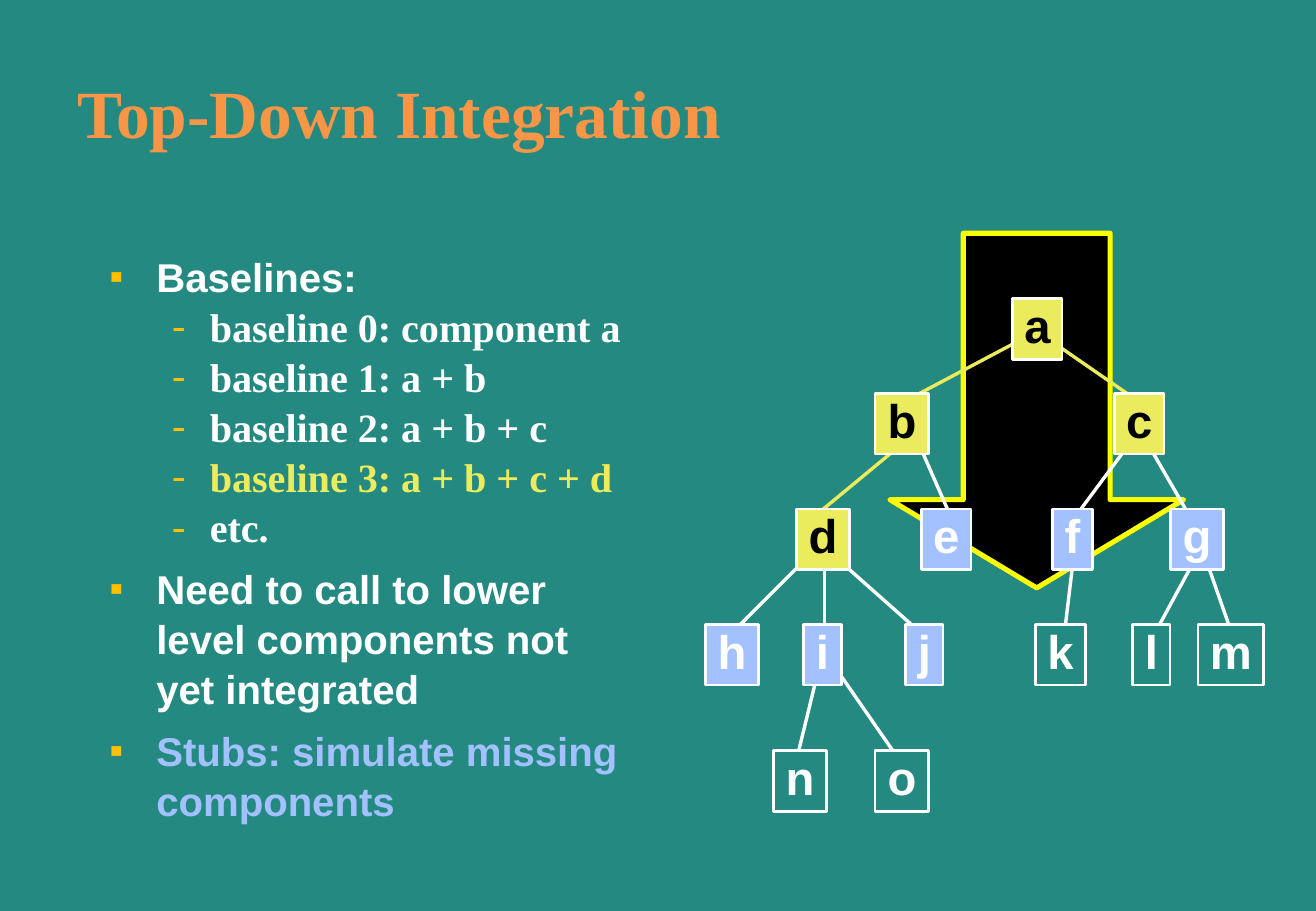
import pptx
import pptx.util
import pptx.dml.color
import pptx.enum.shapes
import pptx.enum.text
import pptx.oxml.ns
import lxml.etree

PX = 9144  # EMU per px, 100 px to the inch
WHITE, YELLOW, BLUE, TEAL = "FFFFFF", "EAEC5E", "A2C1FE", "248980"
ORANGE, GOLD, BLACK = "F79646", "FFC000", "000000"
SHAPES = pptx.enum.shapes.MSO_SHAPE
MIDDLE = pptx.enum.text.MSO_ANCHOR.MIDDLE


def color(value):
    return pptx.dml.color.RGBColor.from_string(value)


def write(paragraph, text, name, size, text_color):
    paragraph.text = text
    for run in paragraph.runs:
        values = {"name": name, "size": pptx.util.Pt(size), "bold": True}
        for attribute, value in values.items():
            setattr(run.font, attribute, value)
        run.font.color.rgb = color(text_color)


presentation = pptx.Presentation()
presentation.slide_width = 1084 * PX
presentation.slide_height = 750 * PX
slide = presentation.slides.add_slide(presentation.slide_layouts[6])
slide.background.fill.solid()
slide.background.fill.fore_color.rgb = color(TEAL)

# Title
title = slide.shapes.add_textbox(54 * PX, 58 * PX, 921 * PX, 67 * PX).text_frame
title.word_wrap = True
title.vertical_anchor = MIDDLE
write(title.paragraphs[0], "Top-Down Integration", "Times New Roman", 40, ORANGE)

# Bulleted list: level, text, colour
items = [
    (0, "Baselines:", WHITE),
    (1, "baseline 0: component a", WHITE),
    (1, "baseline 1: a + b", WHITE),
    (1, "baseline 2: a + b + c", WHITE),
    (1, "baseline 3: a + b + c + d", YELLOW),
    (1, "etc.", WHITE),
    (0, "Need to call to lower\vlevel components not\vyet integrated", WHITE),
    (0, "Stubs: simulate missing\vcomponents", BLUE),
]
levels = [
    {"font": "Arial", "margin": 38, "hanging": 38, "before": 7, "bullet": "■", "percent": 50},
    {"font": "Times New Roman", "margin": 82, "hanging": 31, "before": 0, "bullet": "-", "percent": 100},
]
body = slide.shapes.add_textbox(81 * PX, 201 * PX, 921 * PX, 467 * PX).text_frame
body.word_wrap = True
for index, (level, text, text_color) in enumerate(items):
    style = levels[level]
    paragraph = body.add_paragraph() if index else body.paragraphs[0]
    paragraph.level = level
    paragraph.line_spacing = 1.04
    paragraph.space_before = pptx.util.Pt(style["before"] if index else 0)
    properties = paragraph._p.get_or_add_pPr()
    properties.set("marL", str(style["margin"] * PX))
    properties.set("indent", str(-style["hanging"] * PX))
    bullet_color = lxml.etree.SubElement(properties, pptx.oxml.ns.qn("a:buClr"))
    lxml.etree.SubElement(bullet_color, pptx.oxml.ns.qn("a:srgbClr"), val=GOLD)
    lxml.etree.SubElement(properties, pptx.oxml.ns.qn("a:buSzPct"), val=str(style["percent"] * 1000))
    lxml.etree.SubElement(properties, pptx.oxml.ns.qn("a:buFont"), typeface=style["font"])
    lxml.etree.SubElement(properties, pptx.oxml.ns.qn("a:buChar"), char=style["bullet"])
    write(paragraph, text, style["font"], 23.8, text_color)

# Large arrow behind the tree
arrow = slide.shapes.add_shape(SHAPES.DOWN_ARROW, 733 * PX, 192 * PX, 242 * PX, 292 * PX)
arrow.shadow.inherit = False
arrow.adjustments[0] = 0.5
arrow.adjustments[1] = 0.3
arrow.fill.solid()
arrow.fill.fore_color.rgb = color(BLACK)
arrow.line.color.rgb = color("FAFD00")
arrow.line.width = pptx.util.Pt(3)

# Tree edges: begin x, begin y, end x, end y
edges = {
    WHITE: [
        (758, 368, 783, 425),  # b-e
        (941, 351, 886, 425),  # c-f
        (940, 356, 980, 425),  # c-g
        (983, 463, 952, 520),  # g-l
        (990, 451, 1017, 528),  # g-m
        (885, 453, 877, 520),  # f-k
        (676, 448, 599, 525),  # d-h
        (679, 463, 679, 520),  # d-i
        (693, 463, 763, 525),  # d-j
        (677, 540, 656, 626),  # i-n
        (680, 538, 743, 629),  # i-o
    ],
    YELLOW: [
        (848, 276, 746, 330),  # a-b
        (859, 276, 940, 332),  # a-c
        (740, 368, 671, 425),  # b-d
    ],
}
for edge_color, ends in edges.items():
    for end in ends:
        edge = slide.shapes.add_connector(
            pptx.enum.shapes.MSO_CONNECTOR.STRAIGHT, *(value * PX for value in end))
        edge.line.color.rgb = color(edge_color)
        edge.line.width = pptx.util.Pt(2)
        lxml.etree.SubElement(edge._element.spPr, pptx.oxml.ns.qn("a:effectLst"))

# Tree nodes by state: fill, text colour, then letter, left, row, width
row_tops = [246, 324, 419, 514, 618]
states = [
    (TEAL, WHITE, [("k", 853, 3, 41), ("l", 933, 3, 31), ("m", 987, 3, 54),
                   ("n", 637, 4, 44), ("o", 721, 4, 44)]),
    (YELLOW, BLACK, [("a", 834, 0, 41), ("b", 721, 1, 44), ("c", 918, 1, 41),
                     ("d", 656, 2, 44)]),
    (BLUE, WHITE, [("e", 759, 2, 41), ("f", 867, 2, 33), ("g", 964, 2, 44),
                   ("h", 581, 3, 44), ("i", 662, 3, 31), ("j", 746, 3, 31)]),
]
for fill, text_color, nodes in states:
    for letter, left, row, width in nodes:
        node = slide.shapes.add_shape(
            SHAPES.RECTANGLE, left * PX, row_tops[row] * PX, width * PX, 50 * PX)
        node.shadow.inherit = False
        node.fill.solid()
        node.fill.fore_color.rgb = color(fill)
        node.line.color.rgb = color(WHITE)
        node.line.width = pptx.util.Pt(1.5)
        node.text_frame.word_wrap = False
        node.text_frame.vertical_anchor = MIDDLE
        paragraph = node.text_frame.paragraphs[0]
        paragraph.alignment = pptx.enum.text.PP_ALIGN.CENTER
        paragraph.line_spacing = 0.85
        write(paragraph, letter, "Arial", 28, text_color)

presentation.save("out.pptx")
